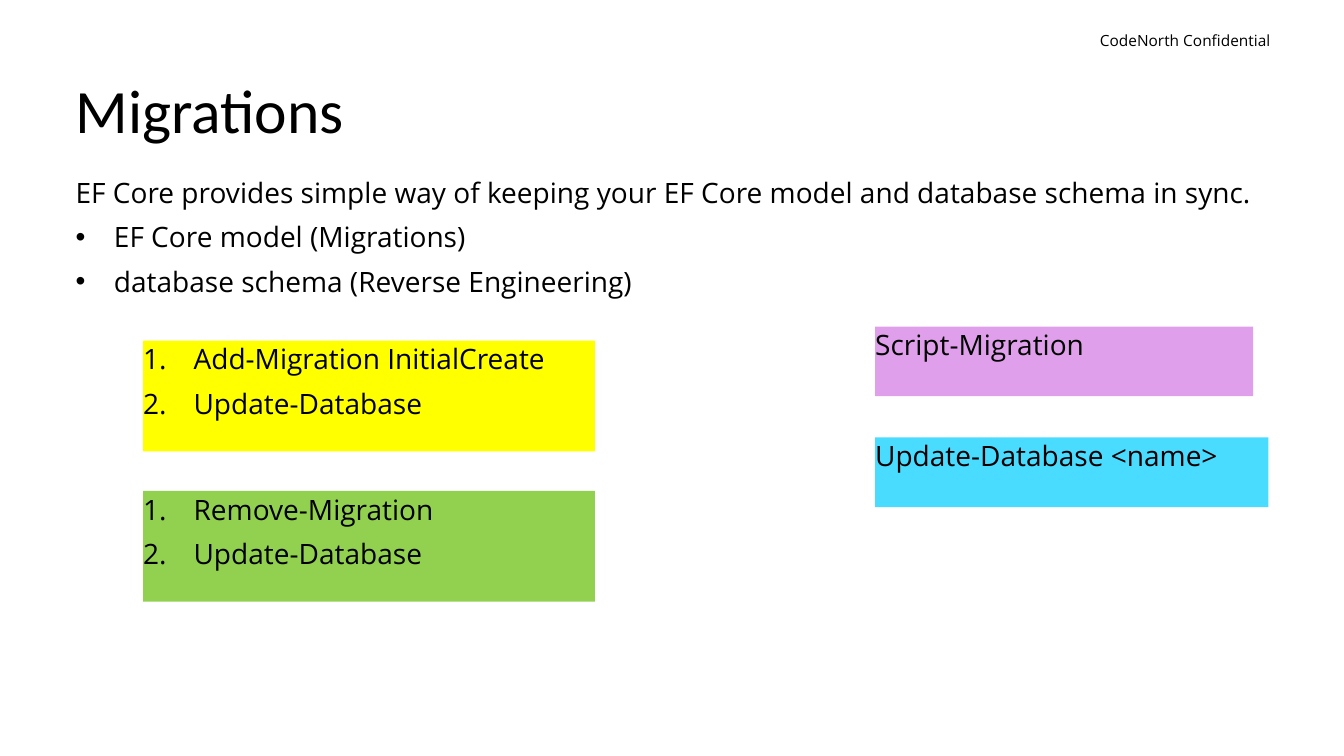
from lxml import etree
from pptx import Presentation
from pptx import util as u
from pptx.dml.color import RGBColor
from pptx.enum import shapes, text
from pptx.oxml import ns

# Content
HEADER = "CodeNorth Confidential"
TITLE = "Migrations"
INTRO = [
    ("EF Core provides simple way of keeping your EF Core model and database schema in sync.", None),
    ("EF Core model (Migrations)", "bullet"),
    ("database schema (Reverse Engineering)", "bullet"),
]
COLORS = {"text": "000000", "add": "FFFF00", "remove": "92D050",
          "script": "DF9FEB", "update": "49DCFF"}
# Command boxes: colour, left, top, width, list marker, lines
COMMANDS = [
    ("add", 1.42, 3.38, 4.48, "number", ["Add-Migration InitialCreate", "Update-Database"]),
    ("remove", 1.42, 4.87, 4.48, "number", ["Remove-Migration", "Update-Database"]),
    ("update", 8.68, 4.34, 3.9, None, ["Update-Database <name>"]),
    ("script", 8.68, 3.24, 3.75, None, ["Script-Migration"]),
]
BOX_HEIGHTS = {1: 0.69, 2: 1.1}
MARKERS = {  # hanging indent in inches, marker element, its attributes
    "bullet": (0.38, "a:buChar", {"char": "•"}),
    "number": (0.5, "a:buAutoNum", {"type": "arabicPeriod"}),
    None: (0, "a:buNone", {}),
}
WIDTH, HEIGHT = 13.33, 7.5
MARGIN = 0.75


def place(shape, left, top, width, height):
    shape.left, shape.top = u.Inches(left), u.Inches(top)
    shape.width, shape.height = u.Inches(width), u.Inches(height)


def set_frame(text_frame, anchor):
    text_frame.word_wrap = True
    text_frame.auto_size = text.MSO_AUTO_SIZE.NONE
    text_frame.vertical_anchor = anchor
    text_frame.margin_left, text_frame.margin_right = 0, u.Inches(0.1)
    text_frame.margin_top = text_frame.margin_bottom = u.Inches(0.05)


def style(paragraph, size, font="Open Sans", align=text.PP_ALIGN.LEFT):
    paragraph.alignment = align
    for run in paragraph.runs:
        run.font.name, run.font.size = font, u.Pt(size)
        run.font.color.rgb = RGBColor.from_string(COLORS["text"])


def fill_list(text_frame, items):
    set_frame(text_frame, text.MSO_ANCHOR.TOP)
    text_frame.text = "\n".join(line for line, marker in items)
    for paragraph, (line, marker) in zip(text_frame.paragraphs, items):
        style(paragraph, 20)
        paragraph.line_spacing, paragraph.space_before = 0.9, u.Pt(10)
        indent, tag, attributes = MARKERS[marker]
        properties = paragraph._p.get_or_add_pPr()
        properties.set("marL", str(u.Inches(indent)))
        properties.set("indent", str(-u.Inches(indent)))
        if marker == "bullet":
            etree.SubElement(properties, ns.qn("a:buFont"), typeface="Arial")
        etree.SubElement(properties, ns.qn(tag), **attributes)


presentation = Presentation()
presentation.slide_width, presentation.slide_height = u.Inches(WIDTH), u.Inches(HEIGHT)
slide = presentation.slides.add_slide(presentation.slide_layouts[1])
title, body = slide.placeholders

# Title and introduction
place(title, MARGIN, 0.75, WIDTH - 2 * MARGIN, 0.75)
set_frame(title.text_frame, text.MSO_ANCHOR.MIDDLE)
title.text_frame.text = TITLE
style(title.text_frame.paragraphs[0], 44, "Calibri")
title.text_frame.paragraphs[0].line_spacing = 0.9
place(body, MARGIN, 1.73, WIDTH - 2 * MARGIN, 1.41)
fill_list(body.text_frame, INTRO)

# Confidentiality header
header = slide.shapes.add_textbox(0, 0, 0, 0)
place(header, 10.38, 0.26, 2.32, 0.29)
header.text_frame.word_wrap = True
header.text_frame.text = HEADER
style(header.text_frame.paragraphs[0], 11, align=text.PP_ALIGN.RIGHT)

# Command boxes
for color, left, top, width, marker, lines in COMMANDS:
    box = slide.shapes.add_shape(shapes.MSO_SHAPE.RECTANGLE, 0, 0, 0, 0)
    place(box, left, top, width, BOX_HEIGHTS[len(lines)])
    box.shadow.inherit = False
    box.fill.solid()
    box.fill.fore_color.rgb = RGBColor.from_string(COLORS[color])
    box.line.fill.background()
    fill_list(box.text_frame, [(line, marker) for line in lines])

presentation.save("out.pptx")
